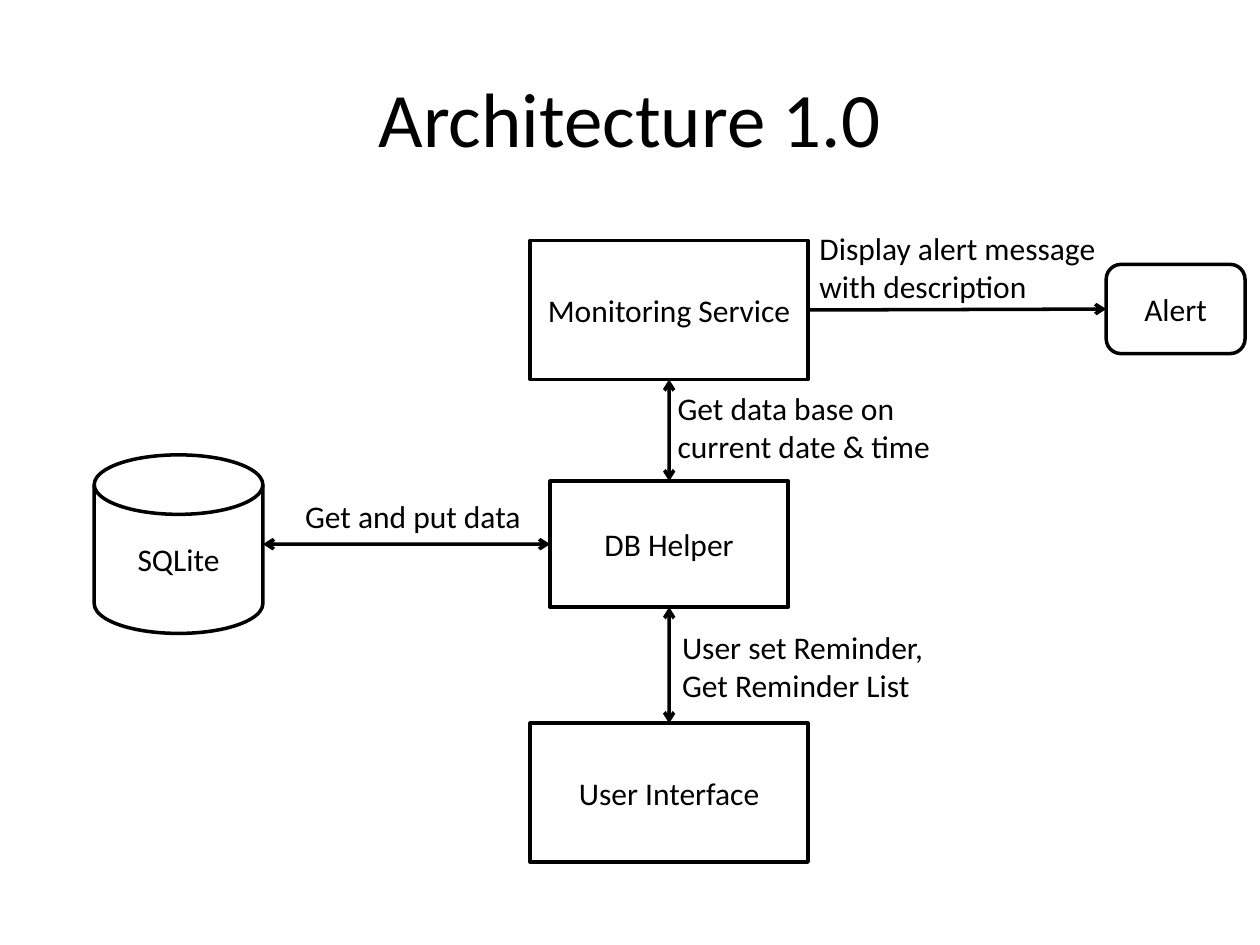
from dataclasses import dataclass

from lxml.etree import SubElement
from pptx import Presentation
from pptx.dml.color import RGBColor
from pptx.enum.shapes import MSO_CONNECTOR, MSO_SHAPE
from pptx.enum.text import MSO_ANCHOR, PP_ALIGN
from pptx.oxml.ns import qn
from pptx.shapes.autoshape import Shape
from pptx.slide import Slide
from pptx.util import Cm, Pt

INK, PAPER = "000000", "FFFFFF"
FONT = "Calibri"
AXIS = 13.49  # centre of the main column, in cm
TOP, LEFT, BOTTOM, RIGHT = range(4)  # connection sites of a rectangle


@dataclass
class Component:
    text: str
    outline: MSO_SHAPE
    left: float
    top: float
    width: float
    height: float


@dataclass
class Label:
    lines: list[str]
    left: float
    top: float
    width: float
    height: float


@dataclass
class Link:
    source: str
    source_site: int
    target: str
    target_site: int
    two_way: bool = True


def color(value: str) -> RGBColor:
    return RGBColor.from_string(value)


def write(shape: Shape, lines: list[str], align: PP_ALIGN, size: int = 18) -> None:
    frame = shape.text_frame
    frame.word_wrap = True
    for index, line in enumerate(lines):
        paragraph = frame.add_paragraph() if index else frame.paragraphs[0]
        paragraph.alignment = align
        run = paragraph.add_run()
        run.text = line
        run.font.name = FONT
        run.font.size = Pt(size)
        run.font.color.rgb = color(INK)


def add_component(slide: Slide, part: Component) -> Shape:
    shape = slide.shapes.add_shape(
        part.outline, Cm(part.left), Cm(part.top), Cm(part.width), Cm(part.height))
    shape.shadow.inherit = False
    shape.fill.solid()
    shape.fill.fore_color.rgb = color(PAPER)
    shape.line.color.rgb = color(INK)
    shape.line.width = Pt(2)
    shape.text_frame.vertical_anchor = MSO_ANCHOR.MIDDLE
    write(shape, [part.text], PP_ALIGN.CENTER)
    return shape


def add_label(slide: Slide, label: Label, align: PP_ALIGN = PP_ALIGN.LEFT,
              size: int = 18) -> Shape:
    box = slide.shapes.add_textbox(
        Cm(label.left), Cm(label.top), Cm(label.width), Cm(label.height))
    write(box, label.lines, align, size)
    return box


def site_point(shape: Shape, site: int) -> tuple[int, int]:
    across = {LEFT: 0, RIGHT: shape.width}.get(site, shape.width // 2)
    down = {TOP: 0, BOTTOM: shape.height}.get(site, shape.height // 2)
    return shape.left + across, shape.top + down


def add_link(slide: Slide, link: Link, shapes: dict[str, Shape]) -> None:
    start = site_point(shapes[link.source], link.source_site)
    end = site_point(shapes[link.target], link.target_site)
    arrow = slide.shapes.add_connector(MSO_CONNECTOR.STRAIGHT, *start, *end)
    arrow.line.color.rgb = color(INK)
    arrow.line.width = Pt(2)
    line = arrow.line._get_or_add_ln()
    for tag in (["a:headEnd"] if link.two_way else []) + ["a:tailEnd"]:
        SubElement(line, qn(tag), type="arrow")
    SubElement(arrow._element.spPr, qn("a:effectLst"))


def column_box(text: str, top: float, width: float, height: float) -> Component:
    return Component(text, MSO_SHAPE.RECTANGLE, AXIS - width / 2, top, width, height)


COMPONENTS = [
    Component("SQLite", MSO_SHAPE.FLOWCHART_MAGNETIC_DISK, 1.9, 9.17, 3.4, 3.6),
    column_box("Monitoring Service", 4.85, 5.6, 2.8),
    column_box("DB Helper", 9.7, 4.8, 2.54),
    column_box("User Interface", 14.58, 5.6, 2.8),
    Component("Alert", MSO_SHAPE.ROUNDED_RECTANGLE, 22.3, 5.33, 2.8, 1.8),
]
LINKS = [
    Link("SQLite", RIGHT, "DB Helper", LEFT),
    Link("Monitoring Service", BOTTOM, "DB Helper", TOP),
    Link("DB Helper", BOTTOM, "User Interface", TOP),
    Link("Monitoring Service", RIGHT, "Alert", LEFT, two_way=False),
]
LABELS = [
    Label(["Get and put data"], 5.9, 9.9, 5.0, 1.03),
    Label(["Get data base on current date & time"], 13.41, 7.72, 6.7, 1.8),
    Label(["User set Reminder,", "Get Reminder List"], 13.5, 12.53, 5.6, 1.8),
    Label(["Display alert message with description"], 16.27, 4.5, 6.55, 1.8),
]

presentation = Presentation()
presentation.slide_width, presentation.slide_height = Cm(25.4), Cm(19.05)
slide = presentation.slides.add_slide(presentation.slide_layouts[6])

# Title
title = add_label(slide, Label(["Architecture 1.0"], 1.27, 0.76, 22.86, 3.18),
                  PP_ALIGN.CENTER, 44)
title.text_frame.vertical_anchor = MSO_ANCHOR.MIDDLE

# Components and the links between them
components = {part.text: add_component(slide, part) for part in COMPONENTS}
for link in LINKS:
    add_link(slide, link, components)

# Link labels
for label in LABELS:
    add_label(slide, label)

presentation.save("out.pptx")
